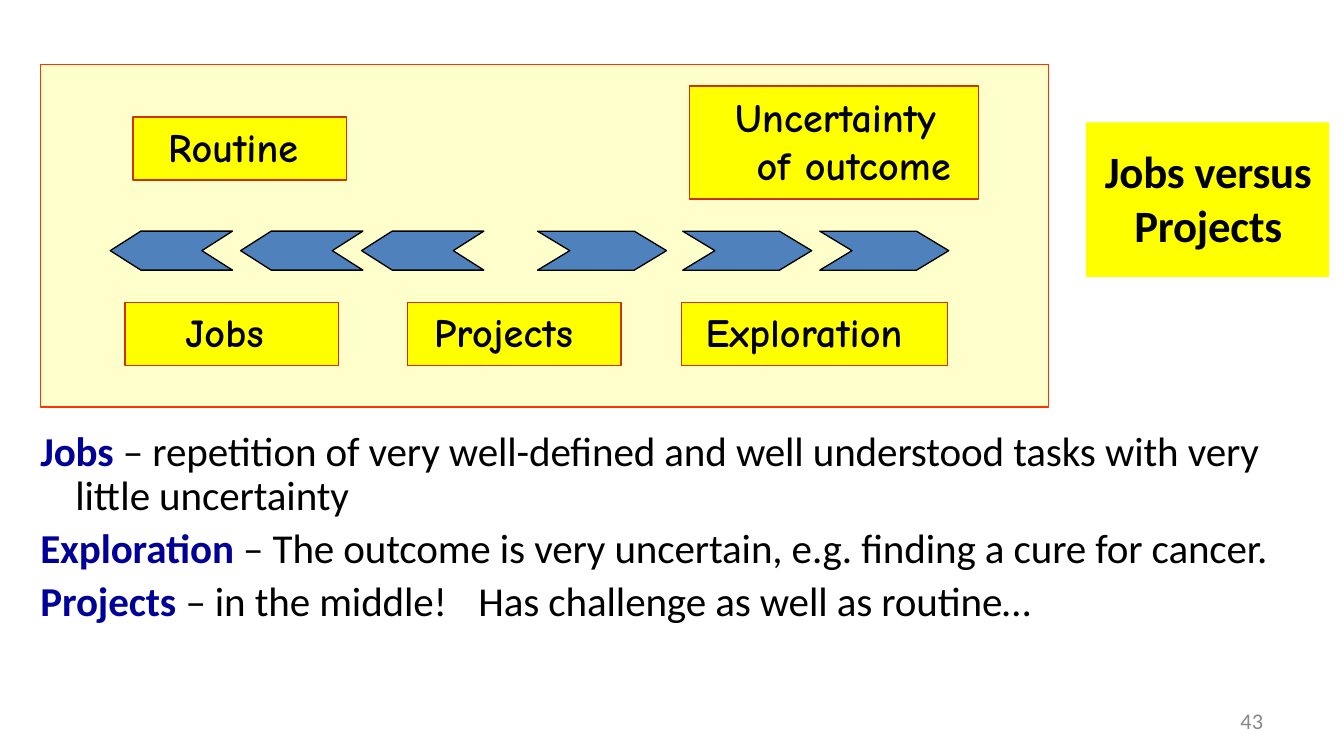
from pptx import Presentation
from pptx.dml.color import RGBColor
from pptx.enum.shapes import MSO_SHAPE
from pptx.enum.text import MSO_ANCHOR, MSO_AUTO_SIZE, PP_ALIGN
from pptx.oxml.ns import qn
from pptx.util import Inches, Pt
from lxml import etree

RECTANGLE, CHEVRON = MSO_SHAPE.RECTANGLE, MSO_SHAPE.CHEVRON
TOP, MIDDLE = MSO_ANCHOR.TOP, MSO_ANCHOR.MIDDLE
LEFT, CENTER = PP_ALIGN.LEFT, PP_ALIGN.CENTER
NO_AUTOFIT = MSO_AUTO_SIZE.NONE

YELLOW = RGBColor(0xFF, 0xFF, 0x00)
CREAM = RGBColor(0xFF, 0xFF, 0xCC)
ORANGE = RGBColor(0xFF, 0x33, 0x00)
BRICK = RGBColor(0xCC, 0x33, 0x00)
BLUE = RGBColor(0x4F, 0x81, 0xBC)
NAVY = RGBColor(0x00, 0x00, 0x99)
BLACK = RGBColor(0x00, 0x00, 0x00)
GRAY = RGBColor(0x88, 0x88, 0x88)

DEFINITIONS = [
    ("Jobs ", "– repetition of very well-defined and well understood tasks with very little uncertainty"),
    ("Exploration ", "– The outcome is very uncertain, e.g. finding a cure for cancer."),
    ("Projects ", "– in the middle!\tHas challenge as well as routine…"),
]
LABELS = [
    ("Routine", 0.69, 0.39, 1.59, 0.47, 0.26, 0),
    ("Uncertainty of outcome", 4.83, 0.16, 2.15, 0.84, 0.5, -0.16),
    ("Jobs", 0.63, 1.77, 1.59, 0.47, 0.45, 0),
    ("Projects", 2.73, 1.77, 1.59, 0.47, 0.2, 0),
    ("Exploration", 4.77, 1.77, 1.98, 0.47, 0.18, 0),
]
LEFT_ARROWS = (0.52, 1.49, 2.39)
RIGHT_ARROWS = (3.7, 4.78, 5.8)


def place(box, left, top, width, height):
    box.left, box.top = Inches(left), Inches(top)
    box.width, box.height = Inches(width), Inches(height)


def set_frame(frame, anchor, left=0, top=0, right=0, bottom=0):
    frame.word_wrap = True
    frame.auto_size = NO_AUTOFIT
    frame.vertical_anchor = anchor
    frame.margin_left, frame.margin_right = Inches(left), Inches(right)
    frame.margin_top, frame.margin_bottom = Inches(top), Inches(bottom)


def set_indent(para, margin, first):
    properties = para._p.get_or_add_pPr()
    properties.set("marL", str(Inches(margin)))
    properties.set("indent", str(Inches(first)))
    return properties


def style(span, name, size, color, bold=False, spacing=0):
    span.font.name = name
    span.font.size = Pt(size)
    span.font.color.rgb = color
    span.font.bold = bold
    span._r.get_or_add_rPr().set("spc", str(spacing))


def add_box(page, kind, left, top, width, height, fill, line):
    box = page.shapes.add_shape(kind, Inches(left), Inches(top), Inches(width), Inches(height))
    box.shadow.inherit = False
    box.fill.solid()
    box.fill.fore_color.rgb = fill
    box.line.color.rgb = line
    box.line.width = Pt(0.72)
    return box


def add_title(page, left, top, width, height):
    title = page.shapes.title
    place(title, left, top, width, height)
    title.fill.solid()
    title.fill.fore_color.rgb = YELLOW
    title.text_frame.text = "Jobs versus Projects"
    set_frame(title.text_frame, MIDDLE, left=0.11, right=0.1, bottom=0.03)
    para = title.text_frame.paragraphs[0]
    para.alignment = CENTER
    style(para.runs[0], "Calibri", 24, BLACK, True, -10)


def add_definitions(page, left, top, width, height):
    body = page.placeholders[1]
    place(body, left, top, width, height)
    frame = body.text_frame
    set_frame(frame, TOP, top=0.05)
    for index, (term, meaning) in enumerate(DEFINITIONS):
        para = frame.paragraphs[0] if index == 0 else frame.add_paragraph()
        properties = set_indent(para, 0.27, -0.26)
        etree.SubElement(properties, qn("a:buNone"))
        if "\t" in meaning:
            tabs = etree.SubElement(properties, qn("a:tabLst"))
            etree.SubElement(tabs, qn("a:tab"), pos=str(Inches(3.15)), algn="l")
        para.alignment = LEFT
        para.space_before = Pt(2 if index else 0)
        if index == 0:
            para.line_spacing = Pt(23.8)
        for text, color, bold in ((term, NAVY, True), (meaning, BLACK, False)):
            span = para.add_run()
            span.text = text
            style(span, "Calibri", 22, color, bold, -5)


def add_label(page, text, left, top, width, height, margin, first):
    label = add_box(page, RECTANGLE, left, top, width, height, YELLOW, BRICK)
    label.text_frame.text = text
    set_frame(label.text_frame, MIDDLE, right=0.15, bottom=0.03)
    para = label.text_frame.paragraphs[0]
    set_indent(para, margin, first)
    para.alignment = LEFT
    style(para.runs[0], "Comic Neue", 21.5, BLACK, True, 10)


def add_arrow(page, left, top, width, rotation):
    height = 0.29
    arrow = add_box(page, CHEVRON, left, top, width, height, BLUE, BLACK)
    arrow.adjustments[0] = width / 4 / height
    arrow.rotation = rotation


def add_spectrum(page, left, top, width, height):
    add_box(page, RECTANGLE, left, top, width, height, CREAM, ORANGE)
    for text, x, y, *rest in LABELS:
        add_label(page, text, left + x, top + y, *rest)
    for starts, arrow_width, rotation in ((LEFT_ARROWS, 0.91, 180), (RIGHT_ARROWS, 0.96, 0)):
        for x in starts:
            add_arrow(page, left + x, top + 1.24, arrow_width, rotation)


def add_page_number(page, left, top, width, height):
    box = page.shapes.add_textbox(Inches(left), Inches(top), Inches(width), Inches(height))
    box.text_frame.text = "43"
    set_frame(box.text_frame, TOP, 0.01, 0.02)
    style(box.text_frame.paragraphs[0].runs[0], "Calibri", 12, GRAY)


def main():
    deck = Presentation()
    deck.slide_width, deck.slide_height = Pt(720), Pt(405)
    page = deck.slides.add_slide(deck.slide_layouts[1])
    add_title(page, 8.08, 0.91, 1.81, 1.15)
    add_definitions(page, 0.29, 3.15, 9.23, 1.52)
    add_spectrum(page, 0.3, 0.48, 7.5, 2.55)
    add_page_number(page, 9.22, 5.24, 0.2, 0.23)
    deck.save("out.pptx")


if __name__ == "__main__":
    main()
